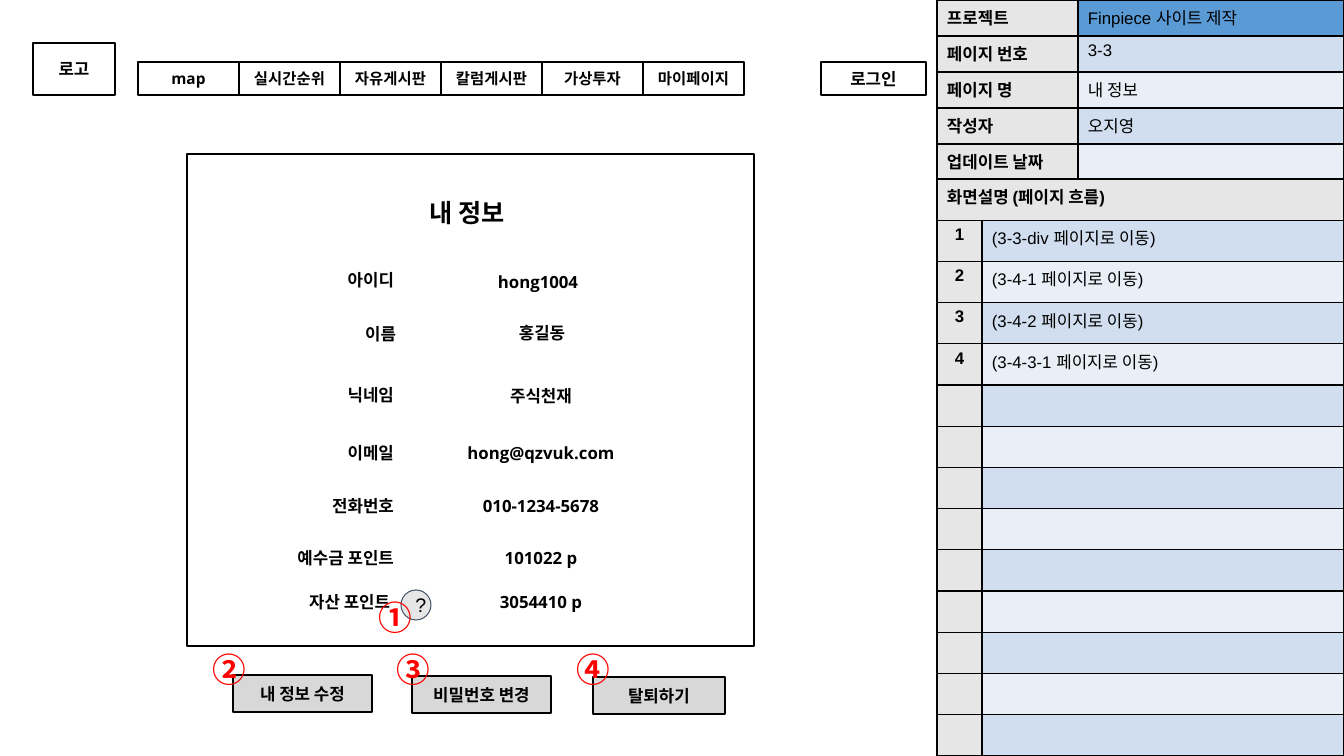
from dataclasses import dataclass

from lxml import etree
from pptx import Presentation
from pptx.dml.color import RGBColor
from pptx.enum.shapes import MSO_SHAPE
from pptx.enum.text import MSO_ANCHOR, PP_ALIGN
from pptx.oxml.ns import qn
from pptx.util import Emu, Pt

RECT, OVAL = MSO_SHAPE.RECTANGLE, MSO_SHAPE.OVAL
LEFT, CENTER, RIGHT = PP_ALIGN.LEFT, PP_ALIGN.CENTER, PP_ALIGN.RIGHT
TOP, MIDDLE = MSO_ANCHOR.TOP, MSO_ANCHOR.MIDDLE
PIXEL = 914400 / 100.8


@dataclass(frozen=True)
class Theme:
    """Colours, fonts and type sizes of the page."""
    ink: str = "000000"
    accent: str = "FF0000"
    button: str = "D8D8D8"
    header: str = "E7E6E6"
    project: str = "5B9BD5"
    bands: tuple = ("D0DEEF", "E9EFF7")
    help_line: str = "44546A"
    ui_font: str = "Open Sans"
    table_font: str = "Arial"
    korean_font: str = "Noto Sans CJK KR"
    nav_size: int = 11
    body_size: int = 12
    help_size: int = 14
    title_size: int = 18
    badge_size: int = 24


THEME = Theme()


def px(length):
    """Turn pixels into EMU."""
    return Emu(round(length * PIXEL))


def inside(box, left, top, width, height):
    """Return a box placed relative to the corner of another box."""
    return box[0] + left, box[1] + top, width, height


def write(frame, text, size=THEME.body_size, font=THEME.ui_font,
          color=THEME.ink, bold=True, align=CENTER):
    """Set one paragraph of text and format its run."""
    para = frame.paragraphs[0]
    para.text = text
    para.alignment = align
    for span in para.runs:
        span.font.size, span.font.bold, span.font.name = Pt(size), bold, font
        span.font.color.rgb = RGBColor.from_string(color)
        etree.SubElement(span.font._element, qn("a:ea"), typeface=THEME.korean_font)
    if not text:
        para._p.get_or_add_endParaRPr().set("sz", str(size * 100))


def set_frame(frame, anchor=MIDDLE, pad=10):
    """Wrap a text frame and set its anchor and margins."""
    frame.word_wrap = True
    frame.vertical_anchor = anchor
    frame.margin_left = frame.margin_right = px(10)
    frame.margin_top = frame.margin_bottom = px(pad)


def add_label(page, box, text, anchor=MIDDLE, pad=10, **style):
    """Add a text box."""
    frame = page.shapes.add_textbox(*map(px, box)).text_frame
    set_frame(frame, anchor, pad)
    write(frame, text, **style)


def add_box(page, box, text="", kind=RECT, fill=None, line=THEME.ink,
            weight=1.5, **style):
    """Add an outlined shape with optional fill and text."""
    shape = page.shapes.add_shape(kind, *map(px, box))
    shape.shadow.inherit = False
    if fill:
        shape.fill.solid()
        shape.fill.fore_color.rgb = RGBColor.from_string(fill)
    else:
        shape.fill.background()
    shape.line.color.rgb = RGBColor.from_string(line)
    shape.line.width = Pt(weight)
    set_frame(shape.text_frame)
    write(shape.text_frame, text, **style)


def add_badge(page, box, text):
    """Add a red circled number."""
    add_label(page, box, text, TOP, 5, size=THEME.badge_size,
              font=THEME.korean_font, color=THEME.accent, align=LEFT)


def style_cell(cell, text, fill, bold, align=LEFT):
    """Fill, border and write one table cell."""
    cell.margin_left = cell.margin_right = px(10)
    cell.margin_top = cell.margin_bottom = px(5)
    write(cell.text_frame, text, font=THEME.table_font, bold=bold, align=align)
    props = cell._tc.get_or_add_tcPr()
    for side in ("a:lnL", "a:lnR", "a:lnT", "a:lnB"):
        line = etree.SubElement(props, qn(side), w=str(Pt(1)))
        paint = etree.SubElement(line, qn("a:solidFill"))
        etree.SubElement(paint, qn("a:srgbClr"), val=THEME.ink)
    cell.fill.solid()
    cell.fill.fore_color.rgb = RGBColor.from_string(fill)


def add_grid(page, box, rows, first_width):
    """Add a two-column table with equal rows and return it."""
    table = page.shapes.add_table(rows, 2, *map(px, box)).table
    table.first_row = table.horz_banding = False
    table.columns[0].width = px(first_width)
    table.columns[1].width = px(box[2] - first_width)
    for row in table.rows:
        row.height = px(box[3] / rows)
    return table


def draw_page_facts(page, box):
    """Draw the table that identifies the page."""
    facts = [("프로젝트", "Finpiece 사이트 제작"), ("페이지 번호", "3-3"),
             ("페이지 명", "내 정보"), ("작성자", "오지영"), ("업데이트 날짜", "")]
    table = add_grid(page, box, len(facts), 141)
    for index, (name, value) in enumerate(facts):
        fill = THEME.bands[(index + 1) % 2] if index else THEME.project
        style_cell(table.cell(index, 0), name, THEME.header, True)
        style_cell(table.cell(index, 1), value, fill, False)


def draw_page_flow(page, box):
    """Draw the numbered table of screen notes."""
    targets = ["3-3-div", "3-4-1", "3-4-2", "3-4-3-1"]
    rows = 14
    table = add_grid(page, box, rows, 45)
    for column in range(2):
        style_cell(table.cell(0, column), "", THEME.header, True)
    table.cell(0, 0).merge(table.cell(0, 1))
    write(table.cell(0, 0).text_frame, "화면설명 (페이지 흐름)",
          font=THEME.table_font, align=LEFT)
    for row in range(1, rows):
        used = row <= len(targets)
        note = f"({targets[row - 1]} 페이지로 이동)" if used else ""
        style_cell(table.cell(row, 0), str(row) if used else "",
                   THEME.header, True, CENTER)
        style_cell(table.cell(row, 1), note, THEME.bands[(row + 1) % 2], False)


def draw_site_header(page, box):
    """Draw the logo box, the menu and the login button."""
    add_box(page, inside(box, 0, 0, 82, 52), "로고")
    menu = ["map", "실시간순위", "자유게시판", "칼럼게시판", "가상투자", "마이페이지"]
    for index, name in enumerate(menu):
        add_box(page, inside(box, 105 + 101 * index, 19, 101, 33), name,
                size=THEME.nav_size)
    add_box(page, inside(box, 788, 19, 105, 33), "로그인")


def draw_profile_card(page, box):
    """Draw the member's details with the help mark."""
    add_box(page, box)
    add_label(page, inside(box, 189, 40, 182, 37), "내 정보", size=THEME.title_size)
    # label, left, top, width; value, left, top, width
    details = [
        ("아이디", 133, 107, 84, "hong1004", 223, 109, 256),
        ("이름", 114, 161, 105, "홍길동", 252, 160, 206),
        ("닉네임", 112, 222, 105, "주식천재", 226, 223, 256),
        ("이메일", 112, 280, 105, "hong@qzvuk.com", 226, 280, 256),
        ("전화번호", 112, 333, 105, "010-1234-5678", 226, 333, 256),
        ("예수금 포인트", 51, 385, 166, "101022 p", 226, 385, 256),
        ("자산 포인트 ", 69, 429, 148, "3054410 p", 226, 429, 256),
    ]
    for name, x, y, width, value, value_x, value_y, value_width in details:
        add_label(page, inside(box, x, y, width, 37), name, align=RIGHT)
        add_label(page, inside(box, value_x, value_y, value_width, 37), value)
    add_box(page, inside(box, 214, 436, 30, 30), "?", OVAL, THEME.header,
            THEME.help_line, 0.75, size=THEME.help_size,
            font=THEME.table_font, bold=False)
    add_badge(page, inside(box, 182, 438, 44, 50), "①")


def draw_actions(page, box):
    """Draw the numbered buttons below the card."""
    actions = [("내 정보 수정", 30, 32, 139, "②", 0, 1),
               ("비밀번호 변경", 209, 33, 139, "③", 184, 1),
               ("탈퇴하기", 390, 34, 132, "④", 364, 1)]
    for name, x, y, width, number, badge_x, badge_y in actions:
        add_box(page, inside(box, x, y, width, 37), name, fill=THEME.button)
        add_badge(page, inside(box, badge_x, badge_y, 60, 50), number)


def main():
    """Build the page and save the deck."""
    deck = Presentation()
    deck.slide_width, deck.slide_height = px(1344), px(756)
    page = deck.slides.add_slide(deck.slide_layouts[6])
    draw_site_header(page, (33, 43, 893, 52))
    draw_profile_card(page, (187, 154, 567, 492))
    draw_actions(page, (203, 643, 522, 72))
    draw_page_facts(page, (937, 0, 407, 180))
    draw_page_flow(page, (937, 179, 407, 577))
    deck.save("out.pptx")


main()
